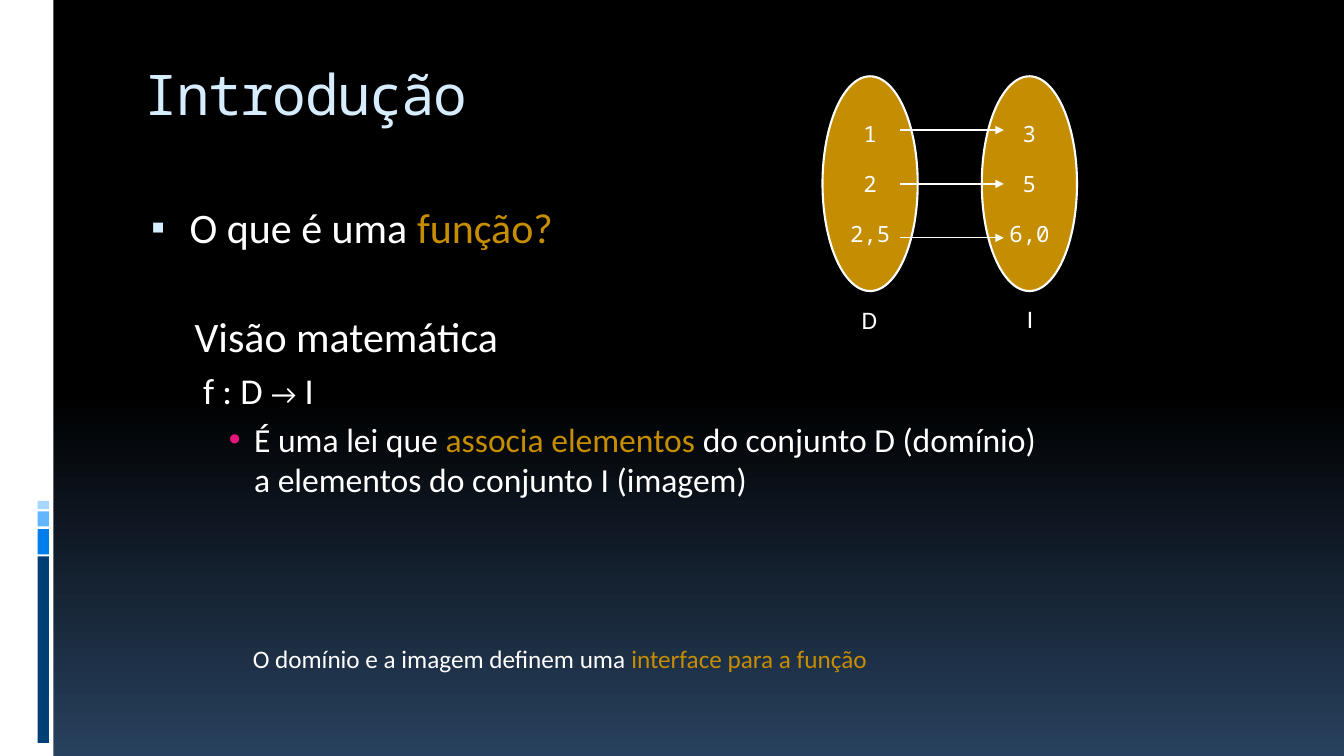
import pptx
import pptx.dml.color
import pptx.enum.shapes
import pptx.enum.text
import pptx.oxml
import pptx.util
from lxml import etree

Pt = pptx.util.Pt
SHAPES = pptx.enum.shapes.MSO_SHAPE
ANCHOR = pptx.enum.text.MSO_ANCHOR
ALIGN = pptx.enum.text.PP_ALIGN
AUTO_SIZE = pptx.enum.text.MSO_AUTO_SIZE
DRAWING = "http://schemas.openxmlformats.org/drawingml/2006/main"

SANS, MONO = "Calibri", "Noto Sans Mono"
WHITE, GOLD, PALE_BLUE, PINK = "FFFFFF", "C58D01", "D6ECFF", "EA157A"


def color(value):
    return pptx.dml.color.RGBColor.from_string(value)


def add_element(parent, tag, **attributes):
    return etree.SubElement(parent, f"{{{DRAWING}}}{tag}", attributes)


def apply_format(target, values):
    for name, value in values.items():
        setattr(target, name, value)


def place(shape, left, top, width, height):
    apply_format(shape, dict(left=Pt(left), top=Pt(top), width=Pt(width), height=Pt(height)))


def add_run(paragraph, text, size, fill=WHITE, font=SANS):
    run = paragraph.add_run()
    run.text = text
    apply_format(run.font, dict(name=font, size=Pt(size)))
    run.font.color.rgb = color(fill)
    return run


def set_background(slide):
    fill = slide.background.fill
    fill.gradient()
    fill.gradient_angle = 270
    for stop, (position, value) in zip(fill.gradient_stops, [(0.52, "000000"), (1, "28415E")]):
        stop.position = position
        stop.color.rgb = color(value)


def add_filled_shape(slide, kind, box, fill):
    shape = slide.shapes.add_shape(kind, *map(Pt, box))
    shape.shadow.inherit = False
    shape.fill.solid()
    shape.fill.fore_color.rgb = color(fill)
    shape.line.fill.background()
    return shape


def add_title(slide, text):
    title = slide.shapes.title
    place(title, 95.8, 40.3, 816, 72)
    apply_format(title.text_frame, dict(
        vertical_anchor=ANCHOR.TOP, auto_size=AUTO_SIZE.NONE, margin_top=Pt(2)))
    paragraph = title.text_frame.paragraphs[0]
    paragraph.alignment = ALIGN.LEFT
    run = add_run(paragraph, text, 40, PALE_BLUE, MONO)
    run.font._element.set("spc", "-100")


def set_bullet(paragraph, left, hanging, bullet=None):
    properties = paragraph._p.get_or_add_pPr()
    properties.set("marL", str(Pt(left)))
    properties.set("indent", str(Pt(-hanging)))
    if bullet is None:
        add_element(properties, "buNone")
        return
    character, fill, percent = bullet
    add_element(add_element(properties, "buClr"), "srgbClr", val=fill)
    add_element(properties, "buSzPct", val=str(percent * 1000))
    add_element(properties, "buChar", char=character)


def add_body(slide, items):
    body = slide.placeholders[1]
    place(body, 95.8, 140.4, 816, 384.5)
    frame = body.text_frame
    frame.auto_size = AUTO_SIZE.NONE
    for index, (level, left, hanging, before, bullet, runs) in enumerate(items):
        paragraph = frame.add_paragraph() if index else frame.paragraphs[0]
        set_bullet(paragraph, left, hanging, bullet)
        apply_format(paragraph, dict(level=level, space_before=Pt(before)))
        for run in runs:
            if run is None:
                paragraph.add_line_break()
            else:
                add_run(paragraph, *run)


def add_set(slide, left, values):
    ellipse = add_filled_shape(slide, SHAPES.OVAL, (left, 54.5, 68, 153.4), GOLD)
    ellipse.line.color.rgb = color(WHITE)
    ellipse.line.width = Pt(1.5)
    frame = ellipse.text_frame
    apply_format(frame, dict(vertical_anchor=ANCHOR.MIDDLE, margin_left=0, margin_right=0))
    for index, value in enumerate(values):
        paragraph = frame.add_paragraph() if index else frame.paragraphs[0]
        apply_format(paragraph, dict(
            alignment=ALIGN.CENTER, space_before=Pt(16.8 if index else 0)))
        add_run(paragraph, value, 16, font=MONO)


def add_arrow(slide, left, right, y):
    arrow = slide.shapes.add_connector(
        pptx.enum.shapes.MSO_CONNECTOR.STRAIGHT, Pt(left), Pt(y), Pt(right), Pt(y))
    arrow.line.color.rgb = color(WHITE)
    arrow.line.width = Pt(0.94)
    add_element(arrow.line._get_or_add_ln(), "tailEnd", type="triangle")
    add_element(arrow._element.spPr, "effectLst")


def add_label(slide, box, *runs):
    label = slide.shapes.add_textbox(*map(Pt, box))
    apply_format(label.text_frame, dict(
        word_wrap=False, auto_size=AUTO_SIZE.SHAPE_TO_FIT_TEXT))
    for run in runs:
        add_run(label.text_frame.paragraphs[0], *run)


def main():
    presentation = pptx.Presentation()
    apply_format(presentation, dict(slide_width=Pt(960), slide_height=Pt(540)))
    slide = presentation.slides.add_slide(presentation.slide_layouts[1])
    set_background(slide)

    # Side band with its blue segments
    add_filled_shape(slide, SHAPES.RECTANGLE, (0, 0, 38.2, 540), WHITE)
    for top, height, fill in [(397.4, 133.2, "003F75"), (378, 18, "007EEB"),
                              (365.2, 10.8, "61B6FF"), (357.8, 5.8, "A7D6FF")]:
        add_filled_shape(slide, SHAPES.RECTANGLE, (26.9, top, 8, height), fill)

    # Title and list: level, left, hanging, space before, bullet, runs
    add_title(slide, "Introdução")
    add_body(slide, [
        (0, 32.4, 27.4, 0, ("▪", PALE_BLUE, 95),
         [("O que é uma ", 30), ("função?", 30, GOLD)]),
        (1, 36, 0, 42, None, [("Visão matemática", 30)]),
        (1, 42, 0, 5, None, [("f : D ", 26), ("→", 20), (" I", 26)]),
        (2, 78.5, 18, 5, ("•", PINK, 100),
         [("É uma lei que ", 24), ("associa elementos", 24, GOLD),
          (" do conjunto D (domínio)", 24), None,
          ("a elementos do conjunto I (imagem)", 24)]),
    ])

    # Mapping from domain to image
    add_set(slide, 587.5, ["1", "2", "2,5"])
    add_set(slide, 701.3, ["3", "5", "6,0"])
    for row in range(3):
        add_arrow(slide, 643, 717, 92.9 + 38.5 * row)
    add_label(slide, (608.4, 213.8, 26.6, 28.8), ("D", 18))
    add_label(slide, (726.5, 213.1, 18.7, 28.8), ("I", 18))

    # Closing remark
    add_label(slide, (173.5, 455.8, 463.7, 28.8),
              ("O domínio e a imagem definem uma ", 18),
              ("interface para a função", 18, GOLD))

    presentation.save("out.pptx")


if __name__ == "__main__":
    main()
